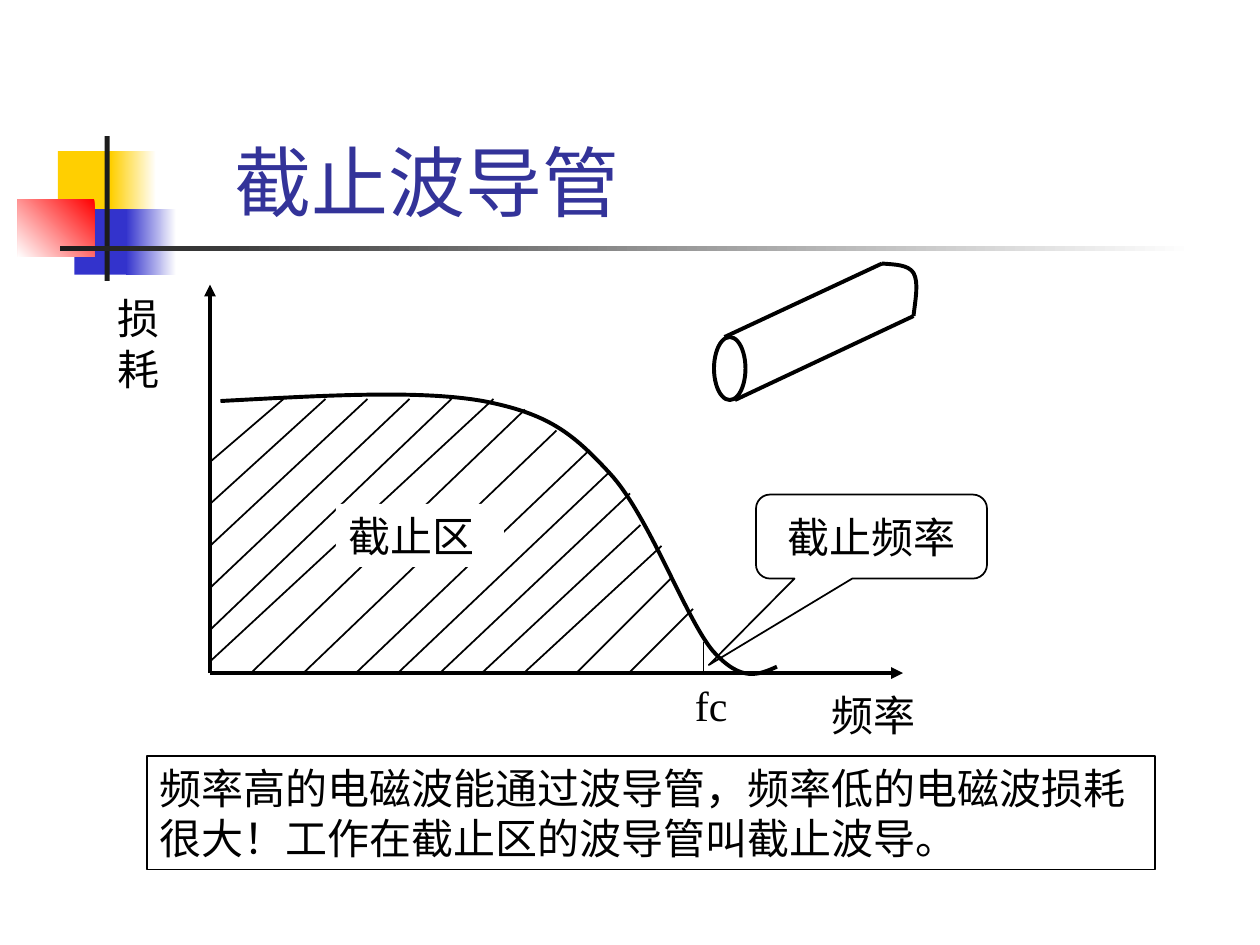
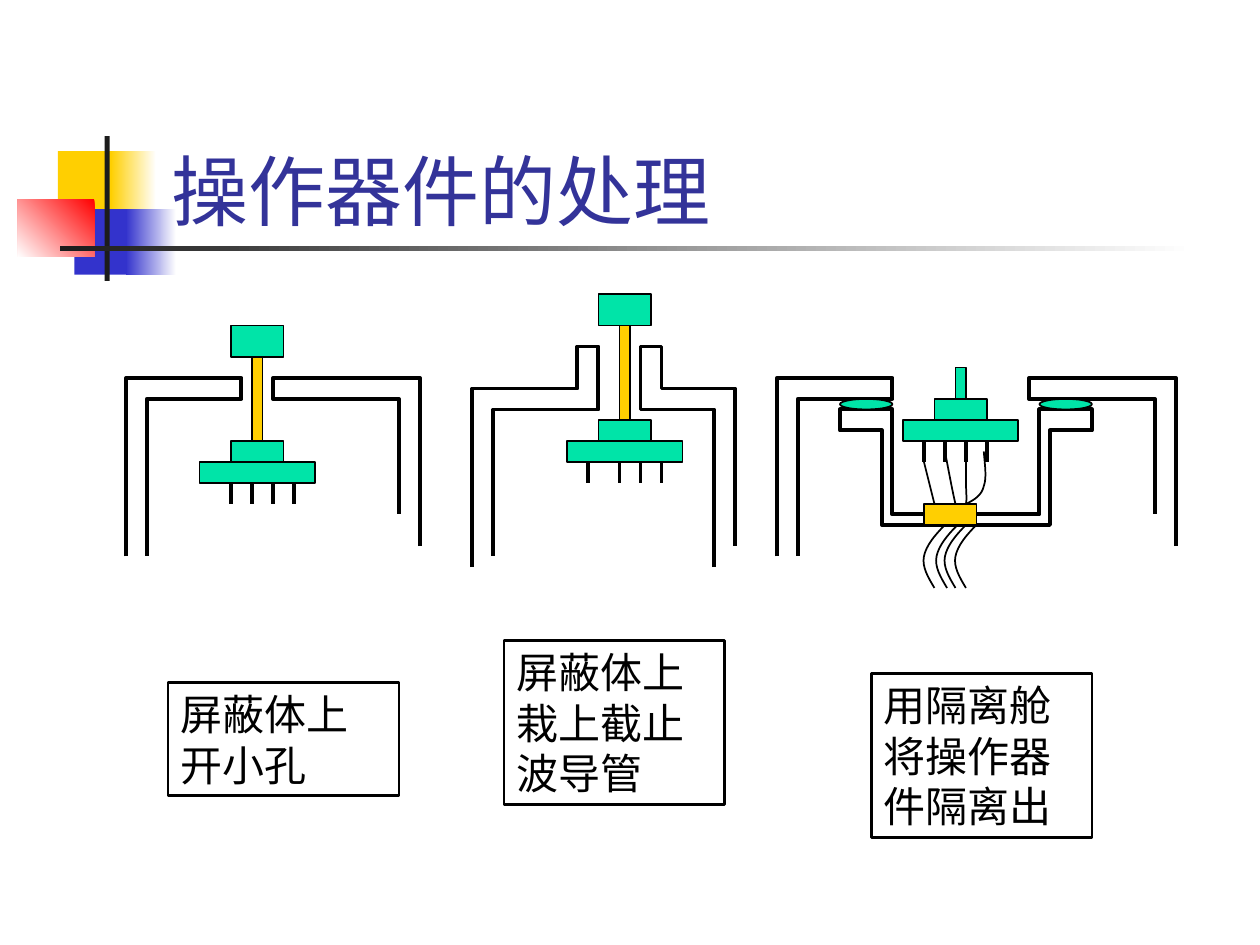
import pptx
import pptx.util
import pptx.dml.color
import pptx.enum.shapes
import pptx.enum.text
import pptx.oxml
import pptx.oxml.ns
import lxml.etree

RGBColor = pptx.dml.color.RGBColor
Inches = pptx.util.Inches
Shape = pptx.enum.shapes.MSO_SHAPE
Align = pptx.enum.text.PP_ALIGN
Anchor = pptx.enum.text.MSO_ANCHOR
qn = pptx.oxml.ns.qn

BLACK = RGBColor(0x00, 0x00, 0x00)
WHITE = RGBColor(0xFF, 0xFF, 0xFF)
CHARCOAL = RGBColor(0x1C, 0x1C, 0x1C)
YELLOW = RGBColor(0xFF, 0xCF, 0x01)
BLUE = RGBColor(0x33, 0x33, 0xCC)
RED = RGBColor(0xFF, 0x00, 0x00)
NAVY = RGBColor(0x33, 0x33, 0x99)
GREEN = RGBColor(0x00, 0xE4, 0xA8)

TITLE_FONT = "Cabin"
BODY_FONT = "Times New Roman"
GRID = 12
THICK, THIN = 2.25, 1

EMBLEM = [
    ((0.46, 1.2, 0.48, 0.52), YELLOW),
    ((0.88, 1.2, 0.36, 0.52), (WHITE, YELLOW, 180)),
    ((0.59, 1.66, 0.46, 0.52), BLUE),
    ((1, 1.66, 0.4, 0.52), (WHITE, BLUE, 180)),
    ((0.14, 1.58, 0.61, 0.46), (RED, WHITE, 225)),
    ((0.83, 1.08, 0.04, 1.15), CHARCOAL),
    ((0.48, 1.95, 9, 0.04), (WHITE, CHARCOAL, 180)),
]

CUTOFF_TITLE = ("截止波导管", (1.76, 1.01, 7.5, 0.84))
AXIS_ORIGIN = (20, 64.1)
AXIS_ENDS = [(20, 27.1), (86, 64.1)]
LOSS_CURVE = [
    (21, 38.2), (30.4, 37.7), (39.8, 37.1), (46, 38.2), (52.2, 39.4), (54.5, 41.2), (58.1, 45.1),
    (61.8, 49.1), (65.3, 58.9), (67.9, 62), (70.6, 65), (72.2, 64.3), (74, 63.5),
]
PIPE_MOUTH = (68, 32.1, 3, 6)
PIPE_SIDES = [((69, 32.1), (84, 25.1)), ((70, 38.1), (87, 30.1))]
PIPE_END = [(84, 25.1), (85.2, 25.2), (86.5, 25.2), (87, 26), (87.5, 26.9), (87.2, 28.4), (87, 30.1)]
CUTOFF_MARK = ((67, 61.1), (67, 64.1))
HATCH_TOPS = [
    (27, 38), (31, 38), (35, 38), (39, 38), (43, 38), (47, 38), (50, 39), (53, 41),
    (56, 43), (58, 45), (60, 47), (61, 50), (63, 52), (64, 55), (66, 58),
]
HATCH_LEFT_ENDS = [44, 48, 52, 56, 60, 63]
HATCH_BOTTOM_ENDS = [24, 29, 34, 38, 42, 46, 50, 55, 60]
HATCH_LEFT, HATCH_BOTTOM = 20, 64
AXIS_LABELS = [
    ("损耗", (10, 27.3, 7, 10.8)),
    ("频率", (78, 65.1, 12, 6)),
    ("fc", (65, 64.1, 9, 6)),
]
CALLOUT = ("截止频率", (72, 47.1, 22, 8), (-0.704, 1.529, 0.167))
SUMMARY = ("频率高的电磁波能通过波导管，频率低的电磁波损耗很大！工作在截止区的波导管叫截止波导。", (14, 72, 96, 10.8))
REGION = ("截止区", (32, 48, 16, 6))

DEVICE_TITLE = ("操作器件的处理", (1.26, 0.67, 8.52, 1.25))
LEFT_WALL = [(12, 53), (12, 36), (23, 36), (23, 38), (14, 38), (14, 53)]
RIGHT_WALL = [(40, 52), (40, 36), (26, 36), (26, 38), (38, 38), (38, 49)]
TUBE_WALLS = [
    [(45, 54), (45, 37), (55, 37), (55, 33), (57, 33), (57, 39), (47, 39), (47, 53)],
    [(68, 54), (68, 39), (61, 39), (61, 33), (63, 33), (63, 37), (70, 37), (70, 52)],
]
CHAMBER = [
    (80, 39), (85, 39), (85, 49), (99, 49), (99, 39), (104, 39),
    (104, 41), (100, 41), (100, 50), (84, 50), (84, 41), (80, 41),
]
CABIN_LEFT_SHIFT, CABIN_RIGHT_SHIFT = 62, 72
STEMS = [(24, 33, 1, 9), (59, 31, 1, 9)]
KNOBS = [(22, 31, 5, 3), (57, 28, 5, 3)]
HANDLE = (91, 35, 1, 3)
GASKETS = [(80, 38, 5, 1), (99, 38, 5, 1)]
FEEDTHROUGH = (88, 48, 5, 2)
SWITCHES = [
    ((19, 42), [22, 24, 26, 28]),
    ((54, 40), [56, 59, 61, 63]),
    ((86, 38), [88, 90, 92, 94]),
]
INNER_WIRES = [
    [(88, 44), (88.4, 45.6), (88.8, 47.2), (89, 48)],
    [(90, 43), (90.4, 45.1), (90.8, 47.2), (91, 48)],
    [(92, 44), (92, 44.6), (92, 45.4), (92, 46), (92, 46.7), (92.1, 47.6), (92, 48)],
    [(93.7, 43), (93.8, 44.3), (94, 45.5), (93.7, 46.3), (93.5, 47.2), (92.8, 47.6), (92, 48)],
]
OUTER_WIRE = [(0, 50), (-1, 51), (-1.8, 52), (-2, 53), (-2.2, 54), (-1.6, 55), (-1, 56)]
OUTER_WIRE_STARTS = [90, 91.2, 92, 93]
CAPTIONS = [
    ("屏蔽体上开小孔", (16, 65, 22, 10.8)),
    ("屏蔽体上栽上截止波导管", (48, 61, 21, 15.6)),
    ("用隔离舱将操作器件隔离出", (83, 64.15, 21, 15.6)),
]


def scaled(values, grid=GRID):
    return [Inches(value / grid) for value in values]


def shifted(points, dx):
    return [(x + dx, y) for x, y in points]


def write(frame, text, size=24, font=BODY_FONT, color=BLACK, align=Align.LEFT, anchor=Anchor.TOP, wrap=True):
    frame.auto_size = pptx.enum.text.MSO_AUTO_SIZE.NONE
    frame.word_wrap = wrap
    frame.vertical_anchor = anchor
    paragraph = frame.paragraphs[0]
    paragraph.text = text
    paragraph.alignment = align
    paragraph.font.size = pptx.util.Pt(size)
    paragraph.font.name = font
    paragraph.font.color.rgb = color


def paint(shape, fill=None, line=None):
    shape.shadow.inherit = False
    if fill is None:
        shape.fill.background()
    elif isinstance(fill, RGBColor):
        shape.fill.solid()
        shape.fill.fore_color.rgb = fill
    else:
        *colors, angle = fill
        shape.fill.gradient()
        shape.fill.gradient_angle = angle
        for stop, color in zip(shape.fill.gradient_stops, colors):
            stop.color.rgb = color
    if line is None:
        shape.line.fill.background()
    else:
        shape.line.color.rgb = BLACK
        shape.line.width = pptx.util.Pt(line)
    return shape


def draw(slide, box, fill=None, line=None, kind=Shape.RECTANGLE, grid=GRID):
    return paint(slide.shapes.add_shape(kind, *scaled(box, grid)), fill, line)


def connect(slide, start, end, width, arrow=False):
    straight = pptx.enum.shapes.MSO_CONNECTOR.STRAIGHT
    connector = slide.shapes.add_connector(straight, *scaled((*start, *end)))
    connector.line.color.rgb = BLACK
    connector.line.width = pptx.util.Pt(width)
    if arrow:
        tail = lxml.etree.SubElement(connector.line._get_or_add_ln(), qn("a:tailEnd"))
        tail.set("type", "triangle")
    lxml.etree.SubElement(connector._element.spPr, qn("a:effectLst"))


def trace(slide, points, width, close=False):
    corners = [scaled(point) for point in points]
    builder = slide.shapes.build_freeform(*corners[0], scale=1.0)
    builder.add_line_segments(corners[1:], close=close)
    return paint(builder.convert_to_shape(), line=width)


def bend(slide, knots, width):
    outline = trace(slide, knots, width)
    segments = list(outline._element.iter(qn("a:lnTo")))
    for first in range(0, len(segments), 3):
        curve = lxml.etree.Element(qn("a:cubicBezTo"))
        segments[first].addprevious(curve)
        for segment in segments[first:first + 3]:
            curve.append(segment[0])
            segment.getparent().remove(segment)


def titled_slide(deck, text, box):
    slide = deck.slides.add_slide(deck.slide_layouts[5])
    title = slide.shapes.title
    title.left, title.top, title.width, title.height = scaled(box, 1)
    write(title.text_frame, text, size=44, font=TITLE_FONT, color=NAVY, anchor=Anchor.BOTTOM)
    return slide


def move_emblem_to_master(deck, slide):
    master_tree = deck.slide_master.shapes._spTree
    for box, fill in EMBLEM:
        master_tree.append(draw(slide, box, fill, grid=1)._element)


def cutoff_slide(deck):
    slide = titled_slide(deck, *CUTOFF_TITLE)
    move_emblem_to_master(deck, slide)
    for end in AXIS_ENDS:
        connect(slide, AXIS_ORIGIN, end, THICK, arrow=True)
    bend(slide, LOSS_CURVE, THICK)
    for text, box in AXIS_LABELS:
        write(slide.shapes.add_textbox(*scaled(box)).text_frame, text)

    draw(slide, PIPE_MOUTH, line=THICK, kind=Shape.OVAL)
    for start, end in PIPE_SIDES:
        connect(slide, start, end, THICK)
    bend(slide, PIPE_END, THICK)
    connect(slide, *CUTOFF_MARK, THIN)

    text, box, adjustments = CALLOUT
    callout = draw(slide, box, line=THIN, kind=Shape.ROUNDED_RECTANGULAR_CALLOUT)
    for index, value in enumerate(adjustments):
        callout.adjustments[index] = value
    write(callout.text_frame, text, align=Align.CENTER, anchor=Anchor.MIDDLE, wrap=False)

    text, box = SUMMARY
    write(draw(slide, box, line=0.75).text_frame, text)

    hatch_ends = [(HATCH_LEFT, y) for y in HATCH_LEFT_ENDS] + [(x, HATCH_BOTTOM) for x in HATCH_BOTTOM_ENDS]
    for top, end in zip(HATCH_TOPS, hatch_ends):
        connect(slide, top, end, THIN)
    text, box = REGION
    write(draw(slide, box, WHITE).text_frame, text)


def switch(slide, corner, pins):
    x, y = corner
    draw(slide, (x + 3, y, 5, 2), GREEN, THIN)
    draw(slide, (x, y + 2, 11, 2), GREEN, THIN)
    for pin in pins:
        connect(slide, (pin, y + 4), (pin, y + 6), THICK)


def device_slide(deck):
    slide = titled_slide(deck, *DEVICE_TITLE)
    cabin_walls = [shifted(LEFT_WALL, CABIN_LEFT_SHIFT), shifted(RIGHT_WALL, CABIN_RIGHT_SHIFT)]
    for wall in [LEFT_WALL, RIGHT_WALL, *TUBE_WALLS, *cabin_walls]:
        trace(slide, wall, THICK)
    trace(slide, CHAMBER, THICK, close=True)
    for stem in STEMS:
        draw(slide, stem, YELLOW, THIN)
    for knob in [*KNOBS, HANDLE]:
        draw(slide, knob, GREEN, THIN)
    for gasket in GASKETS:
        draw(slide, gasket, GREEN, THIN, Shape.OVAL)
    for corner, pins in SWITCHES:
        switch(slide, corner, pins)

    draw(slide, FEEDTHROUGH, YELLOW, THIN)
    for wire in INNER_WIRES + [shifted(OUTER_WIRE, x) for x in OUTER_WIRE_STARTS]:
        bend(slide, wire, THIN)
    for text, box in CAPTIONS:
        write(draw(slide, box, line=1.5).text_frame, text)


def main():
    deck = pptx.Presentation()
    deck.slide_width, deck.slide_height = Inches(10), Inches(7.5)
    cutoff_slide(deck)
    device_slide(deck)
    deck.save("out.pptx")


if __name__ == "__main__":
    main()
